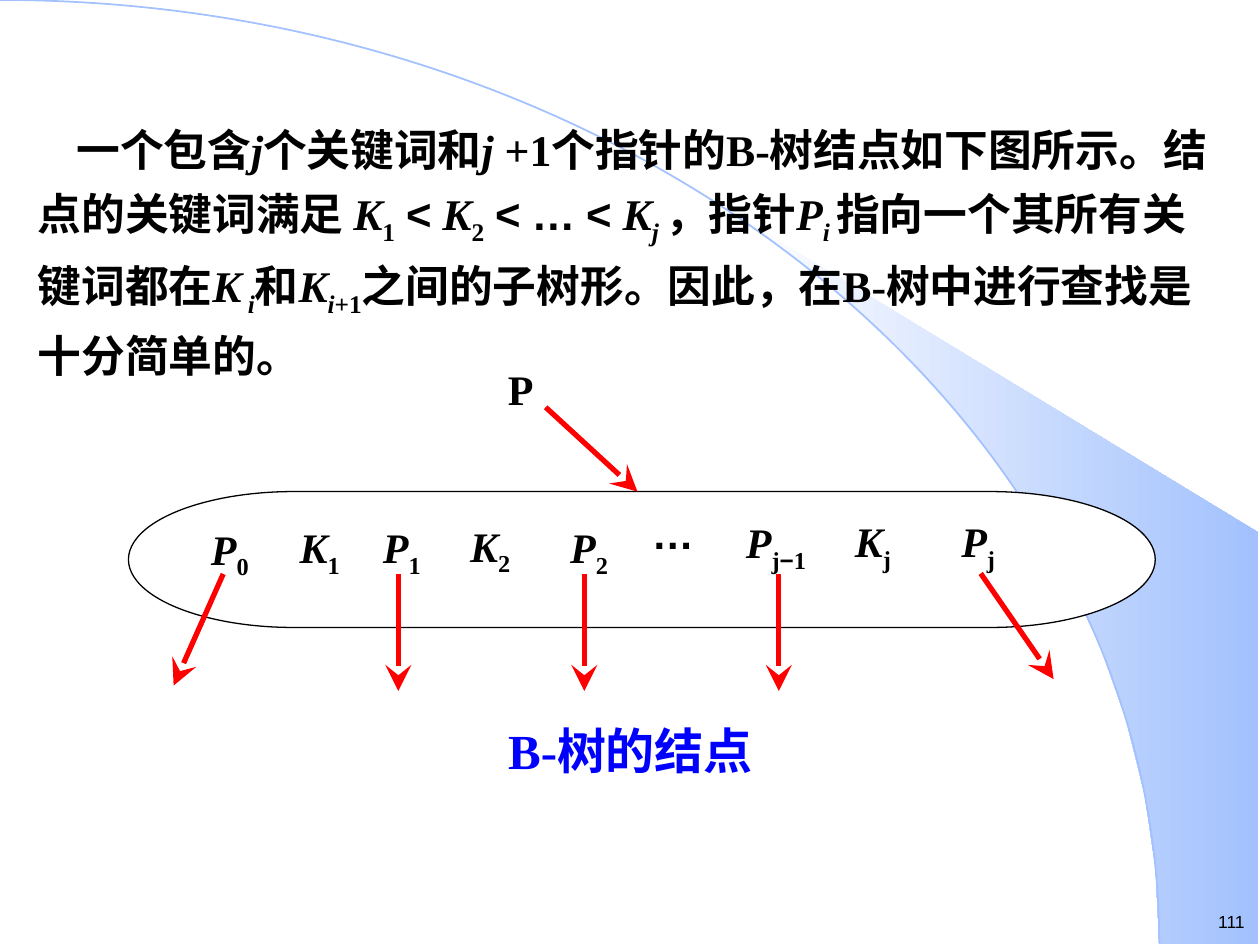
from dataclasses import dataclass
from math import cos, radians, sin

from lxml.etree import SubElement
from pptx import Presentation
from pptx.dml.color import RGBColor
from pptx.enum.shapes import MSO_CONNECTOR, MSO_SHAPE
from pptx.enum.text import PP_ALIGN
from pptx.oxml.ns import qn
from pptx.util import Cm, Pt


@dataclass(frozen=True)
class Theme:
    ink: RGBColor = RGBColor(0x00, 0x00, 0x00)
    paper: RGBColor = RGBColor(0xFF, 0xFF, 0xFF)
    sky: RGBColor = RGBColor(0xA2, 0xC1, 0xFE)
    arrow: RGBColor = RGBColor(0xFF, 0x00, 0x00)
    caption: RGBColor = RGBColor(0x00, 0x00, 0xFF)
    serif: str = "Times New Roman"
    sans: str = "Arial"
    chinese: str = "Noto Sans CJK SC"
    text_size: float = 25
    label_size: float = 24
    caption_size: float = 28
    number_size: float = 10


THEME = Theme()

# Each run is (text, style): i = italic, s = subscript, a = sans font
EXPLANATION = [
    ("一个包含", ""), ("j", "i"), ("个关键词和", ""), ("j", "i"),
    (" +1个指针的B-树结点如下图所示。结点的关键词满足 ", ""),
    ("K", "i"), ("1", "s"), (" ", ""), ("<", "a"), (" ", ""),
    ("K", "i"), ("2", "s"), (" ", ""), ("<", "a"), (" ", ""),
    ("…", "a"), (" ", ""), ("<", "a"), (" ", ""),
    ("K", "i"), ("j ", "is"), ("，指针", ""),
    ("P", "i"), ("i ", "is"), ("指向一个其所有关键词都在", ""),
    ("K", "i"), (" i", "is"), ("和", ""), ("K", "i"), ("i", "is"), ("+1", "s"),
    ("之间的子树形。因此，在B-树中进行查找是十分简单的。", ""),
]

# Box in cm from the node's corner, alignment, then the runs
CENTER, LEFT = PP_ALIGN.CENTER, PP_ALIGN.LEFT
NODE_LABELS = [
    ((1.59, 0.64, 0.91, 1.24), CENTER, [("P", "i"), ("0", "s")]),
    ((3.36, 0.61, 0.99, 1.24), CENTER, [("K", "i"), ("1", "s")]),
    ((5.13, 0.61, 0.91, 1.24), LEFT, [("P", "i"), ("1", "s")]),
    ((6.89, 0.58, 0.99, 1.24), LEFT, [("K", "i"), ("2", "s")]),
    ((8.70, 0.61, 1.17, 1.24), CENTER, [("P", "i"), ("2", "s")]),
    ((10.48, 0.33, 0.99, 1.68), CENTER, [("…", "a")]),
    ((12.28, 0.51, 1.55, 1.24), CENTER, [("P", "i"), ("j", "s"), ("−", "sa"), ("1", "s")]),
    ((14.49, 0.49, 1.04, 1.35), CENTER, [("K", "i"), ("j", "s")]),
    ((16.62, 0.49, 1.02, 1.35), CENTER, [("P", "i"), ("j", "s")]),
    ((7.50, -2.58, 0.81, 0.99), CENTER, [("P", "")]),
]

# Start and end in cm from the node's corner
POINTERS = [
    ((1.91, 1.66), (0.91, 3.91)),
    ((5.44, 1.66), (5.44, 4.02)),
    ((9.19, 1.66), (9.19, 4.02)),
    ((13.11, 1.66), (13.11, 4.02)),
    ((17.18, 1.65), (18.65, 3.78)),
    ((8.41, -1.70), (10.26, 0)),
]


def ellipse_arc(centre, radii, start, end, steps):
    """Points in cm along an ellipse; angles in degrees, anticlockwise."""
    angles = [radians(start + (end - start) * n / steps) for n in range(steps + 1)]
    return [(centre[0] + radii[0] * cos(a), centre[1] - radii[1] * sin(a))
            for a in angles]


def add_outline(slide, points, close=True):
    corners = [(Cm(x), Cm(y)) for x, y in points]
    builder = slide.shapes.build_freeform(*corners[0], scale=1.0)
    builder.add_line_segments(corners[1:], close=close)
    outline = builder.convert_to_shape()
    outline.shadow.inherit = False
    return outline


def bend(outline):
    """Turn the three segments of an outline into one Bézier curve."""
    segments = list(outline._element.iter(qn("a:lnTo")))
    curve = SubElement(segments[0].getparent(), qn("a:cubicBezTo"))
    for segment in segments:
        curve.append(segment[0])
        segment.getparent().remove(segment)


def add_text(slide, box, runs, size, color=THEME.ink, align=CENTER,
             bold=True, margins=(0, 0)):
    """Add a text box of one paragraph and return the paragraph."""
    frame = slide.shapes.add_textbox(*map(Cm, box)).text_frame
    frame.word_wrap = True
    frame.margin_left = frame.margin_right = Cm(margins[0])
    frame.margin_top = frame.margin_bottom = Cm(margins[1])
    paragraph = frame.paragraphs[0]
    paragraph.alignment = align
    for text, style in runs:
        run = paragraph.add_run()
        run.text = text
        font = run.font
        font.size, font.bold, font.italic = Pt(size), bold, "i" in style
        font.color.rgb = color
        font.name = THEME.sans if "a" in style else THEME.serif
        properties = run._r.get_or_add_rPr()
        SubElement(properties, qn("a:ea")).set("typeface", THEME.chinese)
        if "s" in style:
            properties.set("baseline", "-25000")
    return paragraph


def add_arrow(slide, start, end):
    arrow = slide.shapes.add_connector(
        MSO_CONNECTOR.STRAIGHT, *map(Cm, (*start, *end)))
    arrow.line.color.rgb = THEME.arrow
    arrow.line.width = Pt(3)
    head = SubElement(arrow.line._get_or_add_ln(), qn("a:tailEnd"))
    for key, value in (("type", "stealth"), ("w", "lg"), ("len", "lg")):
        head.set(key, value)
    SubElement(arrow._element.spPr, qn("a:effectLst"))


def draw_backdrop(slide, left, top, width, height):
    """A quarter ellipse with a shaded beam that fans out beside it."""
    right, bottom = left + width, top + height
    beam_right = left + 25.37
    beam = add_outline(slide, [
        (beam_right, bottom), (beam_right, top + 10.74),
        *ellipse_arc((left, bottom), (width, height), 50.2, 0, steps=11)])
    beam.line.fill.background()
    beam.fill.gradient()
    beam.fill.gradient_angle = 0
    for stop, color, position in zip(
            beam.fill.gradient_stops, (THEME.paper, THEME.sky), (0, 1)):
        stop.color.rgb = color
        stop.position = position

    pull = 0.55
    horizon = add_outline(slide, [
        (left, top), (left + pull * width, top),
        (right, bottom - pull * height), (right, bottom)], close=False)
    bend(horizon)
    horizon.fill.background()
    horizon.line.color.rgb = THEME.sky
    horizon.line.width = Pt(1)


def write_explanation(slide, box):
    paragraph = add_text(slide, box, EXPLANATION, THEME.text_size,
                         align=LEFT, margins=(0.25, 0.13))
    paragraph.line_spacing = 1.2
    paragraph.space_after = Pt(6)
    paragraph._p.get_or_add_pPr().set("indent", str(Cm(0.78)))


def draw_node(slide, left, top, width, height):
    """The node's capsule with its keys, pointers and arrows."""
    capsule = slide.shapes.add_shape(
        MSO_SHAPE.FLOWCHART_TERMINATOR, *map(Cm, (left, top, width, height)))
    capsule.shadow.inherit = False
    capsule.fill.solid()
    capsule.fill.fore_color.rgb = THEME.paper
    capsule.line.color.rgb = THEME.ink
    capsule.line.width = Pt(0.75)

    for (x, y, *extent), align, runs in NODE_LABELS:
        add_text(slide, (left + x, top + y, *extent), runs, THEME.label_size,
                 align=align)
    for start, end in POINTERS:
        add_arrow(slide, *((left + x, top + y) for x, y in (start, end)))


def main():
    deck = Presentation()
    deck.slide_width, deck.slide_height = Cm(25.4), Cm(19.05)
    slide = deck.slides.add_slide(deck.slide_layouts[6])
    draw_backdrop(slide, 0, 0, 23.37, 19.02)
    add_text(slide, (23.9, 18.24, 1.24, 0.69), [("111", "a")], THEME.number_size,
             align=PP_ALIGN.RIGHT, bold=False, margins=(0.05, 0.13))
    write_explanation(slide, (0.51, 2.13, 24.51, 5.69))
    draw_node(slide, 2.59, 9.91, 20.7, 2.74)
    add_text(slide, (8.61, 14.53, 8.2, 1.19), [("B-", ""), ("树的结点", "")],
             THEME.caption_size, THEME.caption)
    deck.save("out.pptx")


if __name__ == "__main__":
    main()
